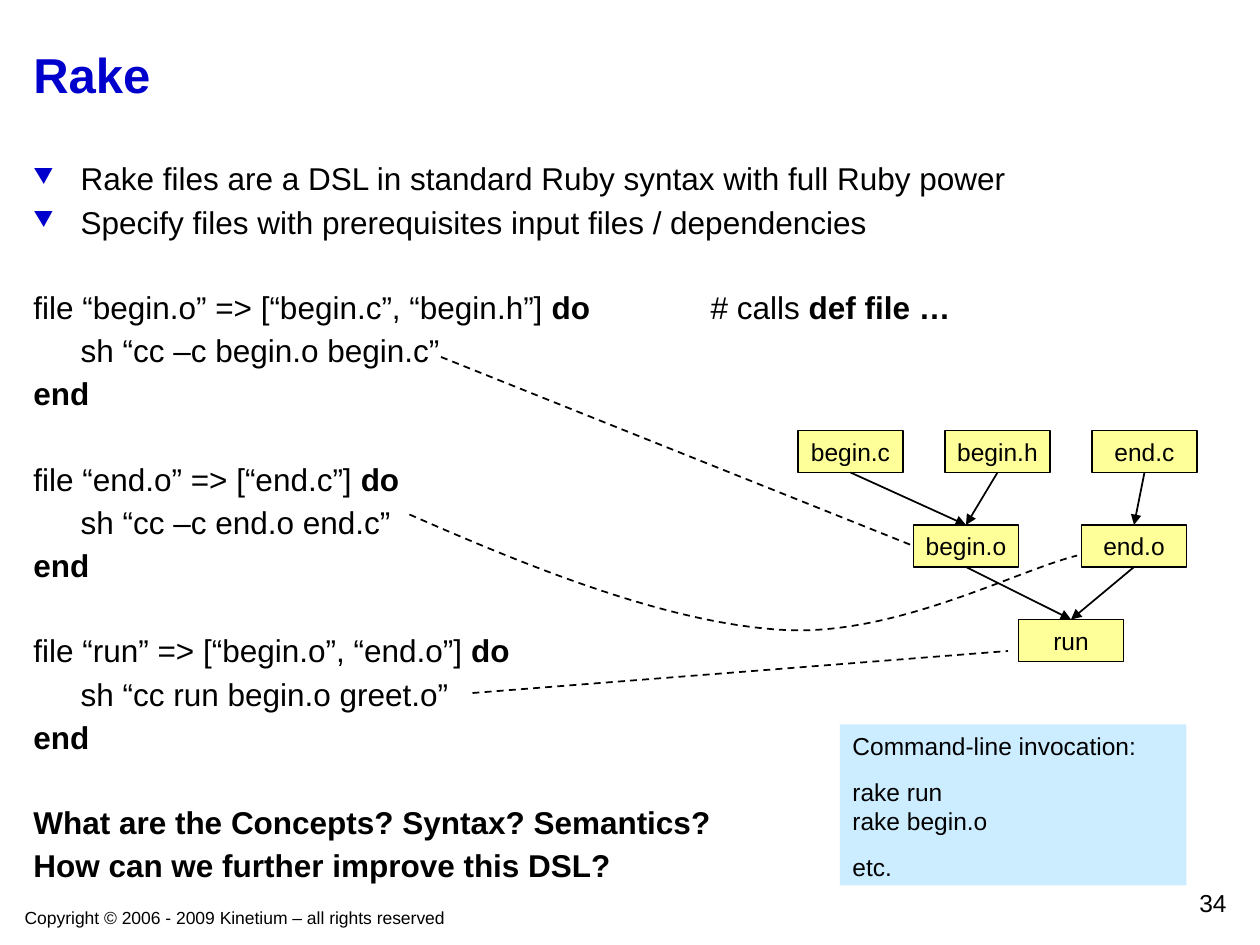
from lxml import etree
from pptx import Presentation
from pptx import util as u
from pptx.dml.color import RGBColor
from pptx.enum import dml, shapes, text
from pptx.oxml import ns

Pt = u.Pt
BLACK = RGBColor(0, 0, 0)
BLUE = RGBColor(0x00, 0x00, 0xCC)
YELLOW = RGBColor(0xFF, 0xFF, 0x99)
SKY = RGBColor(0xCC, 0xEC, 0xFF)
LEFT, RIGHT = text.PP_ALIGN.LEFT, text.PP_ALIGN.RIGHT
CENTER = text.PP_ALIGN.CENTER
MIDDLE, TOP = text.MSO_ANCHOR.MIDDLE, text.MSO_ANCHOR.TOP


def sub(node, tag, **attrs):
    return etree.SubElement(node, ns.qn(tag), attrs)


class Page:
    """Style of the deck and the slide being drawn."""
    font = "Arial"
    indent = 27
    gap = 5.3      # space between body lines
    blank = 29.2   # space before a new block
    stops = (360, 432)

    def __init__(self, deck):
        self.slide = deck.slides.add_slide(deck.slide_layouts[6])
        self.items = self.slide.shapes

    def style(self, par, size, color=BLACK, bold=False):
        for run in par.runs:
            run.font.name, run.font.size = self.font, Pt(size)
            run.font.color.rgb = color
            run.font.bold = bold

    def label(self, words, area, size, color=BLACK, bold=False,
              align=LEFT, anchor=TOP):
        box = self.items.add_textbox(*map(Pt, area))
        frame = box.text_frame
        frame.word_wrap = True
        frame.vertical_anchor = anchor
        frame.text = words
        frame.paragraphs[0].alignment = align
        self.style(frame.paragraphs[0], size, color, bold)

    def body(self, lines, area, size=18):
        """Each line is (kind, starts a block, [(words, bold), ...])."""
        frame = self.items.add_textbox(*map(Pt, area)).text_frame
        frame.word_wrap = True
        for i, (kind, block, parts) in enumerate(lines):
            par = frame.paragraphs[0] if i == 0 else frame.add_paragraph()
            par.line_spacing = 0.9
            if i:
                par.space_before = Pt(self.blank if block else self.gap)
            props = par._p.get_or_add_pPr()
            hang = 0 if kind == "nested" else -self.indent
            props.set("marL", str(Pt(self.indent)))
            props.set("indent", str(Pt(hang)))
            if kind == "bullet":
                color = sub(props, "a:buClr")
                sub(color, "a:srgbClr", val=str(BLUE))
                sub(props, "a:buSzPct", val="70000")
                sub(props, "a:buChar", char="▼")
            else:
                sub(props, "a:buNone")
            if any("\t" in words for words, _ in parts):
                tabs = sub(props, "a:tabLst")
                for stop in self.stops:
                    sub(tabs, "a:tab", pos=str(Pt(stop)), algn="l")
            for words, _ in parts:
                par.add_run().text = words
            self.style(par, size)
            for run, (_, bold) in zip(par.runs, parts):
                run.font.bold = bold

    def rect(self, area, fill):
        box = self.items.add_shape(shapes.MSO_SHAPE.RECTANGLE, *map(Pt, area))
        box.shadow.inherit = False
        box.fill.solid()
        box.fill.fore_color.rgb = fill
        box.line.fill.background()
        return box

    def node(self, words, x, y):
        box = self.rect((x, y, 60, 24), YELLOW)
        self.stroke(box.line)
        frame = box.text_frame
        frame.word_wrap = False
        frame.vertical_anchor = MIDDLE
        frame.text = words
        frame.paragraphs[0].alignment = CENTER
        self.style(frame.paragraphs[0], 14)
        return box

    def note(self, lines, area):
        frame = self.rect(area, SKY).text_frame
        frame.word_wrap = True
        frame.vertical_anchor = TOP
        for i, words in enumerate(lines):
            par = frame.paragraphs[0] if i == 0 else frame.add_paragraph()
            par.text = words
            par.alignment = LEFT
            if i:
                par.space_before = Pt(9.4)
            self.style(par, 14)

    def stroke(self, line, dash=False):
        line.color.rgb = BLACK
        line.width = Pt(1)
        if dash:
            line.dash_style = dml.MSO_LINE.DASH

    def line(self, start=(0, 0), end=(0, 0), dash=False):
        link = self.items.add_connector(
            shapes.MSO_CONNECTOR.STRAIGHT, *map(Pt, start + end))
        self.stroke(link.line, dash)
        sub(link._element.spPr, "a:effectLst")
        return link

    def arrow(self, src, dst):
        link = self.line()
        link.begin_connect(src, 2)
        link.end_connect(dst, 0)
        sub(link.line._get_or_add_ln(), "a:tailEnd", type="triangle")

    def curve(self, start, points):
        """Dashed Bezier curve: three points for each segment."""
        form = self.items.build_freeform(*map(Pt, start))
        form.add_line_segments([tuple(map(Pt, p)) for p in points], False)
        shape = form.convert_to_shape()
        shape.shadow.inherit = False
        shape.fill.background()
        self.stroke(shape.line, True)
        steps = shape._element.xpath(".//a:lnTo")
        for i in range(0, len(steps), 3):
            bend = etree.Element(ns.qn("a:cubicBezTo"))
            steps[i].addprevious(bend)
            for step in steps[i:i + 3]:
                bend.append(step[0])
                step.getparent().remove(step)


def main():
    deck = Presentation()
    deck.slide_width, deck.slide_height = Pt(720), Pt(540)
    page = Page(deck)

    # Footer, page number and title
    page.label("Copyright © 2006 - 2009 Kinetium – all rights reserved",
               (7, 515, 374, 19.5), 10)
    page.label("34", (558, 504, 150, 24), 14, align=RIGHT)
    page.label("Rake", (12, 12, 696, 60), 28, BLUE, True, anchor=MIDDLE)

    # Bullets, rake file and questions
    do, end = ("do", True), ("plain", False, [("end", True)])
    page.body([
        ("bullet", False, [("Rake files are a DSL in standard Ruby syntax "
                            "with full Ruby power", False)]),
        ("bullet", False, [("Specify files with prerequisites input files "
                            "/ dependencies", False)]),
        ("plain", True, [("file “begin.o” => [“begin.c”, “begin.h”] ", False),
                         ("do\t\t", True), ("# calls ", False),
                         ("def file …", True)]),
        ("nested", False, [("sh “cc –c begin.o begin.c”", False)]),
        end,
        ("plain", True, [("file “end.o” => [“end.c”] ", False), do]),
        ("nested", False, [("sh “cc –c end.o end.c”", False)]),
        end,
        ("plain", True, [("file “run” => [“begin.o”, “end.o”] ", False), do]),
        ("nested", False, [("sh “cc run begin.o greet.o”", False)]),
        end,
        ("plain", True, [("What are the Concepts? Syntax? Semantics?", True)]),
        ("plain", False, [("How can we further improve this DSL?", True)]),
    ], (12, 90, 696, 420))

    # Dependency graph
    names = ("begin.c", "begin.h", "end.c")
    src = [page.node(name, 456 + 84 * i, 246) for i, name in enumerate(names)]
    begin = page.node("begin.o", 522, 300)
    final = page.node("end.o", 618, 300)
    run = page.node("run", 582, 354)
    for a, b in zip(src + [final, begin], [begin, begin, final, run, run]):
        page.arrow(a, b)

    # Dashed links from commands to their results
    link = page.line((252, 204), (522, 312), dash=True)
    link.end_connect(begin, 1)
    page.line((270, 396), (576, 372), dash=True)
    page.curve((234, 294), [(309, 327), (384.5, 356.5), (448, 360),
                            (512, 363.5), (581, 326), (615.5, 317.5)])

    # Command-line box
    page.note(["Command-line invocation:", "rake run\vrake begin.o", "etc."],
              (480, 414, 198, 92))

    deck.save("out.pptx")


if __name__ == "__main__":
    main()
